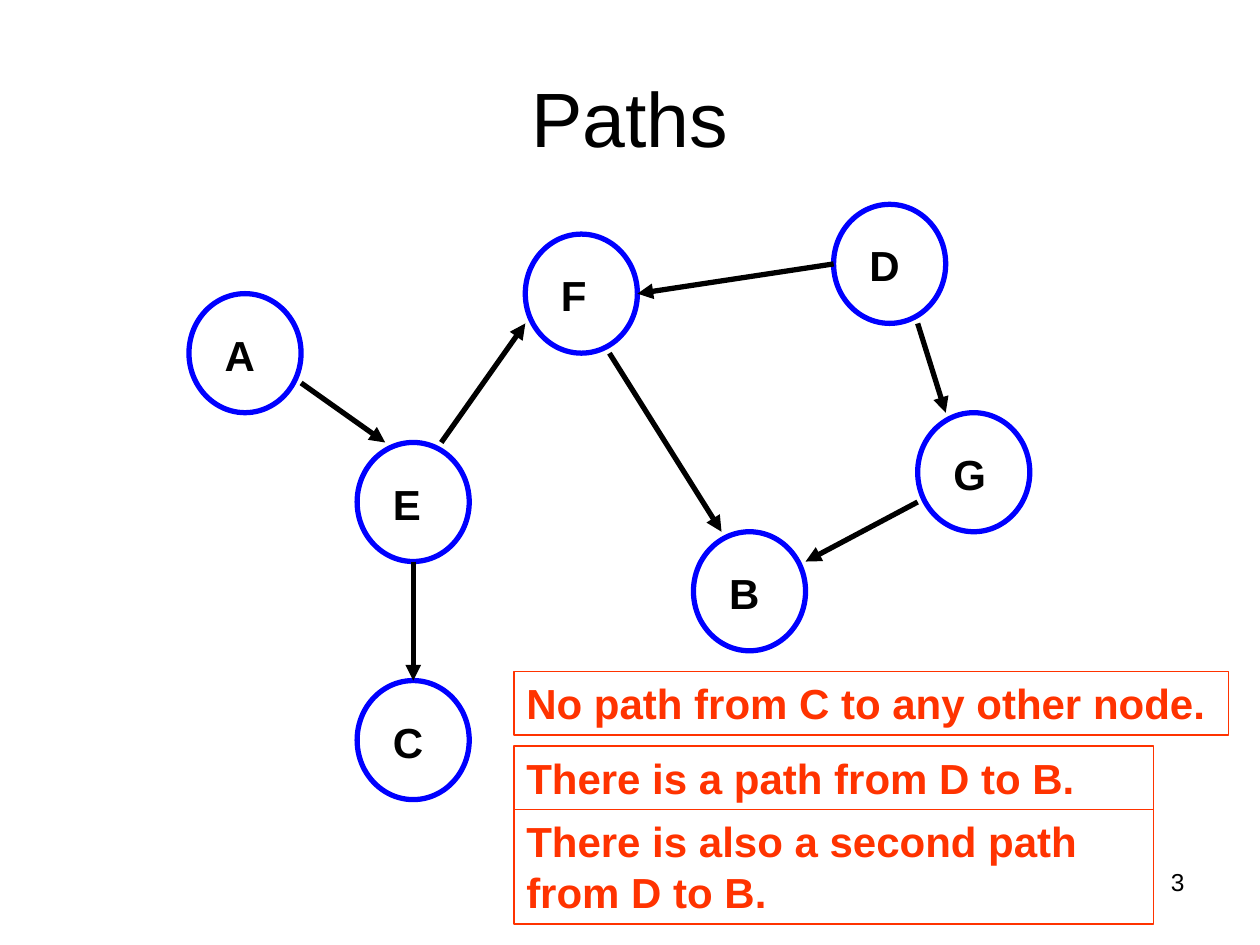
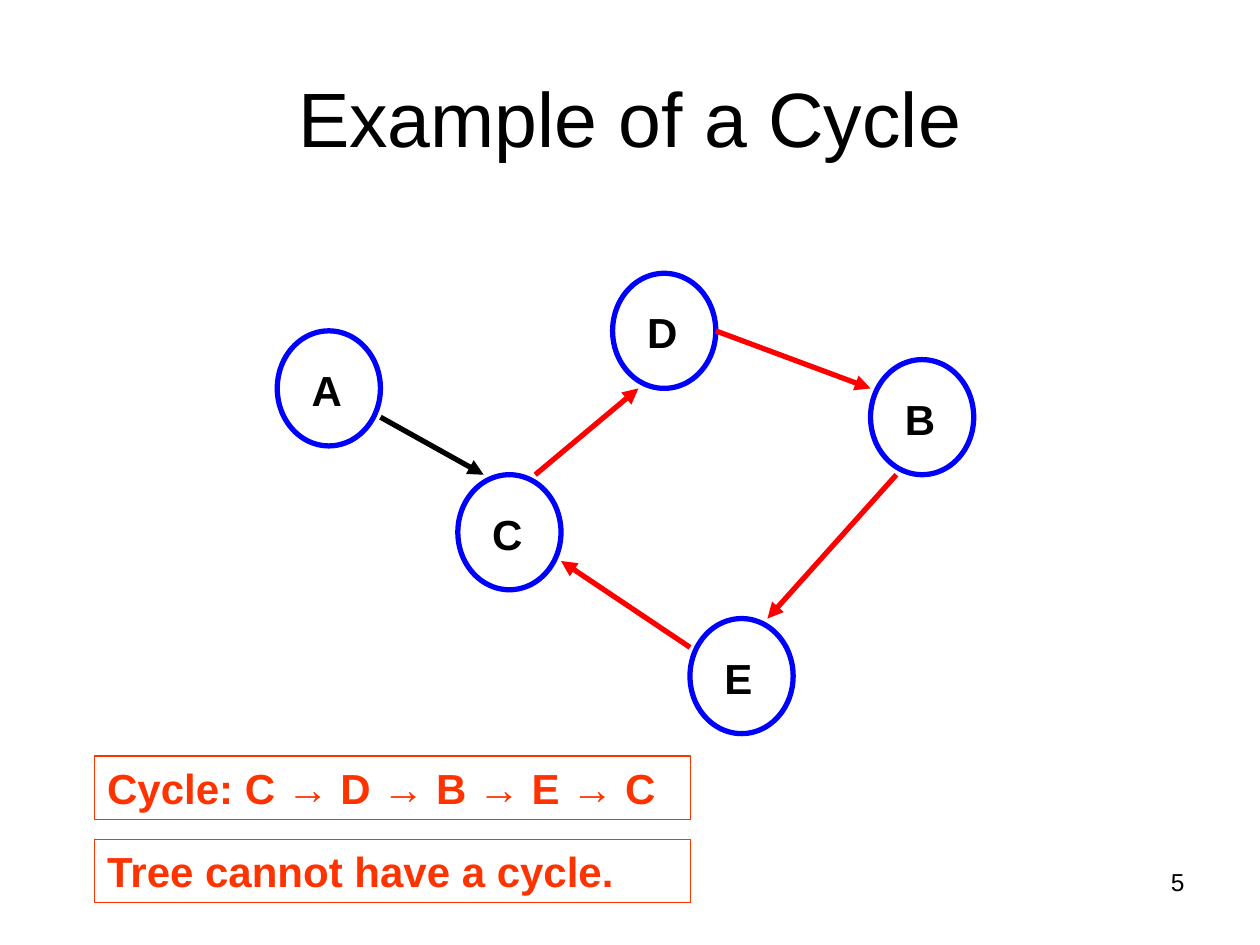
import pptx
import pptx.util
import pptx.dml.color
import pptx.enum.shapes
import pptx.enum.text
import pptx.oxml.ns
from lxml import etree
from pptx.util import Cm

FONT = "Arial"
BLACK, WHITE, BLUE, RED, ORANGE = "000000", "FFFFFF", "0000FF", "FF0000", "FF3300"
NODE_QUARTERS = 4

# Nodes and edge ends are counted in quarters of a node.
GRAPHS = [
    {
        "title": "Paths",
        "number": "3",
        "origin": (3.81, 4.12),
        "node_size": (2.26, 2.4),
        "nodes": {"A": (0, 3), "E": (6, 8), "F": (12, 1), "B": (18, 11),
                  "C": (6, 16), "D": (23, 0), "G": (26, 7)},
        "edges": [
            ("A", (4, 3), "E", (1, 0), BLACK),
            ("E", (3, 0), "F", (0, 3), BLACK),
            ("F", (3, 4), "B", (1, 0), BLACK),
            ("E", (2, 4), "C", (2, 0), BLACK),
            ("D", (0, 2), "F", (4, 2), BLACK),
            ("D", (3, 4), "G", (1, 0), BLACK),
            ("G", (0, 3), "B", (4, 1), BLACK),
        ],
        "notes": [
            ("No path from C to any other node.", (10.36, 13.54, 14.4, 1.28)),
            ("There is a path from D to B.", (10.36, 15.04, 12.9, 1.28)),
            ("There is also a second path from D to B.", (10.36, 16.32, 12.9, 2.31)),
        ],
    },
    {
        "title": "Example of a Cycle",
        "number": "5",
        "origin": (5.59, 5.51),
        "node_size": (2.08, 2.32),
        "nodes": {"A": (0, 2), "C": (7, 7), "D": (13, 0), "B": (23, 3), "E": (16, 12)},
        "edges": [
            ("A", (4, 3), "C", (1, 0), BLACK),
            ("C", (3, 0), "D", (1, 4), RED),
            ("D", (4, 2), "B", (0, 1), RED),
            ("B", (1, 4), "E", (3, 0), RED),
            ("E", (0, 1), "C", (4, 3), RED),
        ],
        "notes": [
            ("Cycle: C → D → B → E → C", (1.91, 15.24, 12.01, 1.28)),
            ("Tree cannot have a cycle.", (1.91, 16.92, 12.01, 1.28)),
        ],
    },
]


def color(value):
    return pptx.dml.color.RGBColor.from_string(value)


def write(box, text, size, ink=BLACK, bold=False, align="LEFT", anchor="TOP"):
    frame = box.text_frame
    frame.word_wrap = True
    frame.vertical_anchor = getattr(pptx.enum.text.MSO_ANCHOR, anchor)
    para = frame.paragraphs[0]
    para.alignment = getattr(pptx.enum.text.PP_ALIGN, align)
    span = para.add_run()
    span.text = text
    span.font.name = FONT
    span.font.size = pptx.util.Pt(size)
    span.font.bold = bold
    span.font.color.rgb = color(ink)
    return frame


def add_outline(page, kind, place, ink, weight, fill=None):
    shape = page.shapes.add_shape(
        getattr(pptx.enum.shapes.MSO_SHAPE, kind), *map(Cm, place))
    shape.shadow.inherit = False
    if fill:
        shape.fill.solid()
        shape.fill.fore_color.rgb = color(fill)
    else:
        shape.fill.background()
    shape.line.color.rgb = color(ink)
    shape.line.width = pptx.util.Pt(weight)
    return shape


def add_title(page, text):
    title = page.shapes.title
    title.left, title.top, title.width, title.height = map(Cm, (1.27, 0.76, 22.86, 3.18))
    write(title, text, 44, align="CENTER", anchor="MIDDLE")


def add_node(page, name, place):
    node = add_outline(page, "OVAL", place, BLUE, 3, WHITE)
    frame = write(node, name, 24, bold=True, anchor="MIDDLE")
    frame.margin_left, frame.margin_top = Cm(0.39), Cm(0.05)
    frame.margin_right = frame.margin_bottom = 0


def add_arrow(page, start, end, ink):
    arrow = page.shapes.add_connector(
        pptx.enum.shapes.MSO_CONNECTOR.STRAIGHT, *map(Cm, start + end))
    arrow.line.color.rgb = color(ink)
    arrow.line.width = pptx.util.Pt(3)
    qn = pptx.oxml.ns.qn
    etree.SubElement(arrow.line._get_or_add_ln(), qn("a:tailEnd"), type="triangle")
    etree.SubElement(arrow._element.spPr, qn("a:effectLst"))


def add_note(page, text, place):
    note = add_outline(page, "RECTANGLE", place, ORANGE, 0.75)
    frame = write(note, text, 24, ORANGE, bold=True)
    frame.auto_size = pptx.enum.text.MSO_AUTO_SIZE.SHAPE_TO_FIT_TEXT


def add_graph(page, graph):
    size = graph["node_size"]

    def locate(name, offset=(0, 0)):
        return tuple(
            start + (cell + shift) * length / NODE_QUARTERS
            for start, cell, shift, length
            in zip(graph["origin"], graph["nodes"][name], offset, size))

    for name in graph["nodes"]:
        add_node(page, name, locate(name) + size)
    for source, leave, target, arrive, ink in graph["edges"]:
        add_arrow(page, locate(source, leave), locate(target, arrive), ink)


def main():
    deck = pptx.Presentation()
    deck.slide_width, deck.slide_height = Cm(25.4), Cm(19.05)
    for graph in GRAPHS:
        page = deck.slides.add_slide(deck.slide_layouts.get_by_name("Title Only"))
        add_title(page, graph["title"])
        add_graph(page, graph)
        for text, place in graph["notes"]:
            add_note(page, text, place)
        number = page.shapes.add_textbox(*map(Cm, (18.2, 17.35, 5.93, 1.32)))
        write(number, graph["number"], 14, align="RIGHT")
    deck.save("out.pptx")


if __name__ == "__main__":
    main()
